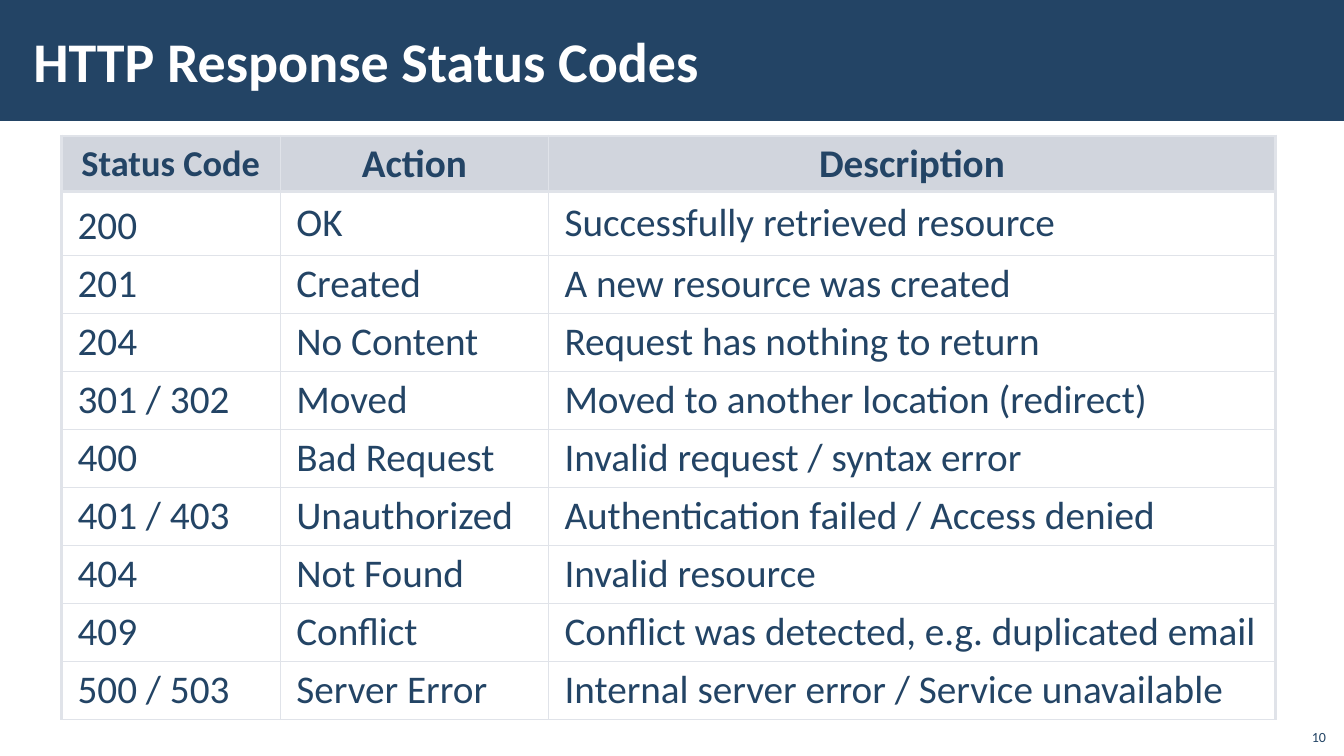
from lxml import etree
from pptx import Presentation
from pptx.dml.color import RGBColor
from pptx.enum.shapes import MSO_SHAPE
from pptx.enum.text import MSO_ANCHOR, PP_ALIGN
from pptx.oxml.ns import qn
from pptx.util import Inches, Pt

RECT = MSO_SHAPE.RECTANGLE
MID, LOW = MSO_ANCHOR.MIDDLE, MSO_ANCHOR.BOTTOM
LEFT, MIDST, RIGHT = PP_ALIGN.LEFT, PP_ALIGN.CENTER, PP_ALIGN.RIGHT

NAVY = RGBColor(0x23, 0x44, 0x65)
WHITE = RGBColor(0xFF, 0xFF, 0xFF)
HEAD = RGBColor(0xD1, 0xD5, 0xDD)
RULE = RGBColor(0xE0, 0xE3, 0xE9)
FONT = "Calibri"
THIN, THICK = 1, 2.25

COLS = [2.17, 2.66, 7.21]
ROWS = [
    ("Status Code", "Action", "Description"),
    ("200", "OK", "Successfully retrieved resource"),
    ("201", "Created", "A new resource was created"),
    ("204", "No Content", "Request has nothing to return"),
    ("301 / 302", "Moved", "Moved to another location (redirect)"),
    ("400", "Bad Request", "Invalid request / syntax error"),
    ("401 / 403", "Unauthorized", "Authentication failed / Access denied"),
    ("404", "Not Found", "Invalid resource"),
    ("409", "Conflict", "Conflict was detected, e.g. duplicated email"),
    ("500 / 503", "Server Error", "Internal server error / Service unavailable"),
]


def write(frame, text, size, color=NAVY, bold=False, align=LEFT):
    para = frame.paragraphs[0]
    para.alignment = align
    run = para.add_run()
    run.text = text
    run.font.name = FONT
    run.font.size = Pt(size)
    run.font.bold = bold
    run.font.color.rgb = color
    return para


def inset(item, side, edge):
    item.margin_left = item.margin_right = Inches(side)
    item.margin_top = item.margin_bottom = Inches(edge)
    item.vertical_anchor = MID


def border(cell, widths):
    props = cell._tc.get_or_add_tcPr()
    for spot, (side, width) in enumerate(widths.items()):
        line = etree.Element(qn("a:ln" + side), w=str(Pt(width)))
        fill = etree.SubElement(line, qn("a:solidFill"))
        etree.SubElement(fill, qn("a:srgbClr"), val=str(RULE))
        props.insert(spot, line)


def header(slide, left, top, width, height):
    band = slide.shapes.add_shape(
        RECT, Inches(left), Inches(top), Inches(width), Inches(height))
    band.shadow.inherit = False
    band.fill.solid()
    band.fill.fore_color.rgb = NAVY
    band.line.fill.background()
    title = slide.shapes.title
    title._element.addprevious(band._element)
    title.left, title.top = Inches(left + 0.21), Inches(top + 0.11)
    title.width, title.height = Inches(10.63), Inches(0.97)
    inset(title.text_frame, 0.12, 0.04)
    write(title.text_frame, "HTTP Response Status Codes", 40, WHITE, True)


def codes(slide, left, top, width, height):
    last = len(COLS) - 1
    table = slide.shapes.add_table(
        len(ROWS), len(COLS), Inches(left), Inches(top),
        Inches(width), Inches(height)).table
    table.first_row = table.horz_banding = False
    for col, size in zip(table.columns, COLS):
        col.width = Inches(size)
    firsts = [0.55, 0.63]
    rest = (height - sum(firsts)) / (len(ROWS) - len(firsts))
    for r, texts in enumerate(ROWS):
        table.rows[r].height = Inches(firsts[r] if r < len(firsts) else rest)
        for c, text in enumerate(texts):
            cell = table.cell(r, c)
            inset(cell, 0.16, 0.05)
            if r == 0:
                cell.fill.solid()
                cell.fill.fore_color.rgb = HEAD
                para = write(cell.text_frame, text, 28 if c else 26,
                             bold=True, align=MIDST)
                para.line_spacing = 0.95
            else:
                cell.fill.background()
                para = write(cell.text_frame, text, 28)
                if r == 1 and c == 0:
                    para.line_spacing = Pt(38)
            border(cell, {
                "L": THICK if c == 0 else THIN,
                "R": THICK if c == last else THIN,
                "T": THICK if r < 2 else THIN,
                "B": THICK if r == 0 else THIN,
            })


def number(slide, left, top, width, height):
    box = slide.shapes.add_textbox(
        Inches(left), Inches(top), Inches(width), Inches(height))
    frame = box.text_frame
    frame.word_wrap = True
    frame.vertical_anchor = LOW
    write(frame, "10", 10, align=RIGHT)


def main():
    deck = Presentation()
    deck.slide_width, deck.slide_height = Inches(13.33), Inches(7.5)
    slide = deck.slides.add_slide(deck.slide_layouts[5])
    header(slide, 0, 0, 13.33, 1.2)
    codes(slide, 0.61, 1.35, sum(COLS), 5.78)
    number(slide, 12.85, 7.12, 0.4, 0.32)
    deck.save("out.pptx")


if __name__ == "__main__":
    main()
